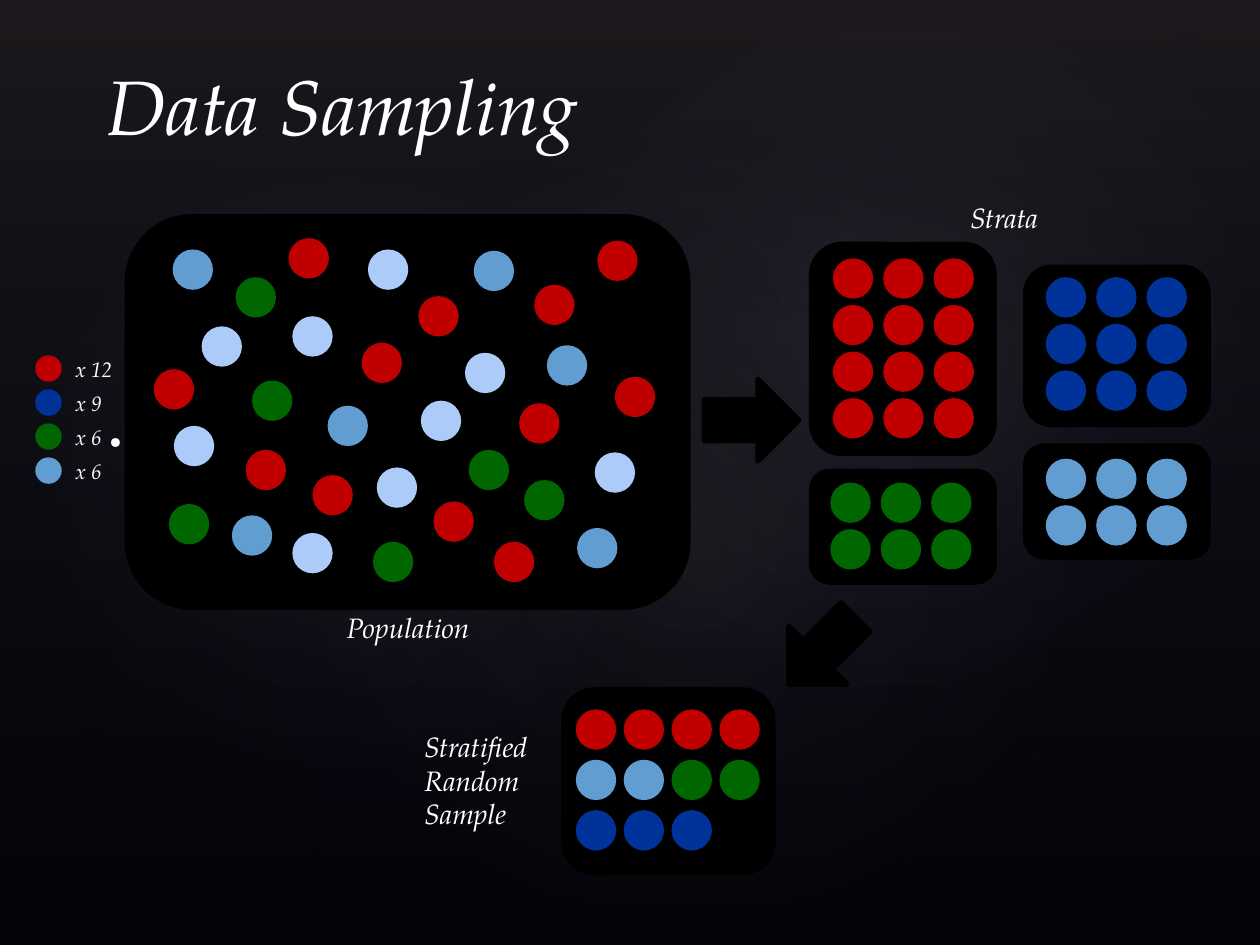
from dataclasses import dataclass

from lxml.etree import SubElement
from pptx import Presentation
from pptx.dml.color import RGBColor
from pptx.enum.shapes import MSO_SHAPE
from pptx.enum.text import MSO_ANCHOR, MSO_AUTO_SIZE, PP_ALIGN
from pptx.oxml.ns import qn
from pptx.slide import Slide
from pptx.util import Inches, Pt

BLACK = RGBColor(0x00, 0x00, 0x00)
WHITE = RGBColor(0xFF, 0xFF, 0xFF)
RED = RGBColor(0xC0, 0x00, 0x00)
NAVY = RGBColor(0x00, 0x33, 0x99)
GREEN = RGBColor(0x00, 0x66, 0x00)
SKY = RGBColor(0x62, 0x9D, 0xD1)
PALE = RGBColor(0xAC, 0xCB, 0xF9)
HAZE = RGBColor(0x50, 0x46, 0x52)
GLOW = RGBColor(0xC4, 0xBC, 0xC6)
DUSK = RGBColor(0x24, 0x28, 0x52)

DOT = 0.32

POPULATION = {
    SKY: [(1.37, 1.98), (1.84, 4.09), (3.76, 1.99), (2.6, 3.22), (4.34, 2.74), (4.58, 4.19)],
    PALE: [(1.6, 2.59), (2.32, 2.51), (1.38, 3.38), (2.99, 3.71), (3.34, 3.18),
           (4.72, 3.59), (2.92, 1.98), (2.32, 4.23), (3.69, 2.8)],
    RED: [(4.88, 2.99), (2.87, 2.72), (3.44, 3.98), (2.29, 1.89), (4.12, 3.2), (2.48, 3.77),
          (1.22, 2.93), (3.32, 2.35), (4.24, 2.26), (4.74, 1.91), (1.95, 3.57), (3.92, 4.3)],
    GREEN: [(4.16, 3.81), (3.72, 3.57), (2.96, 4.3), (1.34, 4), (1.87, 2.2), (2, 3.02)],
}

# Panel left, top, height; first dot left, top; rows; colour
STRATA = [
    (6.44, 1.94, 1.66, 6.61, 2.05, 4, RED),
    (8.14, 2.12, 1.25, 8.3, 2.2, 3, NAVY),
    (6.44, 3.74, 0.88, 6.59, 3.83, 2, GREEN),
    (8.14, 3.54, 0.88, 8.3, 3.64, 2, SKY),
]

SAMPLE = [[RED] * 4, [SKY, SKY, GREEN, GREEN], [NAVY] * 3]
LEGEND = [(RED, "x 12", 0.52), (NAVY, "x 9", 0.43), (GREEN, "x 6", 0.43), (SKY, "x 6", 0.43)]


@dataclass
class Painter:
    page: Slide
    font_name: str = "TeX Gyre Pagella"
    ink: RGBColor = WHITE

    def shape(self, kind, left, top, width, height, rotation=0):
        shape = self.page.shapes.add_shape(
            kind, Inches(left), Inches(top), Inches(width), Inches(height))
        shape.rotation = rotation
        shape.shadow.inherit = False
        shape.line.fill.background()
        return shape

    def gradient(self, shape, stops, radial=False):
        """Fill with stops of (position, colour, opacity), all but the colour in percent."""
        shape.fill.gradient()
        fill = shape._element.spPr.find(qn("a:gradFill"))
        for child in list(fill):
            fill.remove(child)
        stop_list = SubElement(fill, qn("a:gsLst"))
        for position, color, opacity in stops:
            stop = SubElement(stop_list, qn("a:gs"), pos=str(position * 1000))
            value = SubElement(stop, qn("a:srgbClr"), val=str(color))
            SubElement(value, qn("a:alpha"), val=str(opacity * 1000))
        if radial:
            route = SubElement(fill, qn("a:path"), path="circle")
            SubElement(route, qn("a:fillToRect"), l="50000", t="50000", r="50000", b="50000")
        else:
            SubElement(fill, qn("a:lin"), ang="5400000", scaled="0")

    def glow(self, left, top, width, height, rotation, opacity):
        oval = self.shape(MSO_SHAPE.OVAL, left, top, width, height, rotation)
        self.gradient(oval, [(0, GLOW, opacity), (58, DUSK, 0)], radial=True)

    def block(self, kind, left, top, width, height, rotation=0):
        """Black shape with a thick black outline."""
        block = self.shape(kind, left, top, width, height, rotation)
        block.fill.solid()
        block.fill.fore_color.rgb = BLACK
        block.line.color.rgb = BLACK
        block.line.width = Pt(3)

    def panel(self, left, top, width, height, rotation=0):
        self.block(MSO_SHAPE.ROUNDED_RECTANGLE, left, top, width, height, rotation)

    def arrow(self, left, top, rotation=0):
        self.block(MSO_SHAPE.RIGHT_ARROW, left, top, 0.75, 0.65, rotation)

    def dot(self, left, top, color, size=DOT):
        dot = self.shape(MSO_SHAPE.OVAL, left, top, size, size)
        dot.fill.solid()
        dot.fill.fore_color.rgb = color

    def dot_grid(self, left, top, step_x, step_y, rows):
        for row, colors in enumerate(rows):
            for column, color in enumerate(colors):
                self.dot(left + column * step_x, top + row * step_y, color)

    def text(self, words, left, top, width, height, size, align=PP_ALIGN.LEFT,
             anchor=MSO_ANCHOR.TOP, wrap=False, grow=True):
        box = self.page.shapes.add_textbox(
            Inches(left), Inches(top), Inches(width), Inches(height))
        frame = box.text_frame
        frame.word_wrap = wrap
        frame.auto_size = MSO_AUTO_SIZE.SHAPE_TO_FIT_TEXT if grow else MSO_AUTO_SIZE.NONE
        frame.vertical_anchor = anchor
        para = frame.paragraphs[0]
        para.text = words
        para.alignment = align
        para.font.name = self.font_name
        para.font.size = Pt(size)
        para.font.italic = True
        para.font.color.rgb = self.ink


def main():
    deck = Presentation()
    deck.slide_width, deck.slide_height = Inches(10), Inches(7.5)
    page = deck.slides.add_slide(deck.slide_layouts[6])
    page.background.fill.solid()
    page.background.fill.fore_color.rgb = BLACK
    painter = Painter(page)

    backdrop = painter.shape(MSO_SHAPE.RECTANGLE, 0, 0, 10, 7.5)
    painter.gradient(backdrop, [(0, HAZE, 36), (100, DUSK, 10)])
    painter.glow(1.5, 1.14, 7.92, 6.24, 328.7, 7)
    painter.glow(-0.3, 1.28, 6.06, 4.9, 294.3, 8)
    painter.glow(3.58, 0.13, 7.09, 5.2, 328.7, 8)

    painter.text("•", 0.77, 3.32, 0.3, 0.34, 12.6, anchor=MSO_ANCHOR.MIDDLE, grow=False)
    painter.text("Data Sampling", 0.75, 0.5, 8.58, 0.75, 44.1,
                 anchor=MSO_ANCHOR.BOTTOM, wrap=True, grow=False)

    painter.panel(1.01, 1.72, 4.45, 3.1)
    for color, places in POPULATION.items():
        for left, top in places:
            painter.dot(left, top, color)

    for left, top, height, dot_left, dot_top, rows, color in STRATA:
        painter.panel(left, top, 1.45, height)
        painter.dot_grid(dot_left, dot_top, 0.4, 0.37, [[color] * 3] * rows)

    painter.panel(4.58, 5.37, 1.45, 1.66, rotation=90)
    painter.dot_grid(4.57, 5.63, 0.38, 0.4, SAMPLE)

    painter.text("Population", 2.61, 4.8, 1.26, 0.37, 16, PP_ALIGN.CENTER)
    painter.text("Strata", 7.57, 1.54, 0.8, 0.37, 16, PP_ALIGN.CENTER)
    painter.text("Stratified Random Sample", 3.27, 5.74, 1.27, 0.91, 16, wrap=True)

    painter.arrow(5.59, 3.01)
    painter.arrow(6.15, 4.84, rotation=135)

    for index, (color, count, width) in enumerate(LEGEND):
        offset = index * 0.27
        painter.dot(0.28, 2.82 + offset, color, size=0.21)
        painter.text(count, 0.5, 2.78 + offset, width, 0.3, 12)

    deck.save("out.pptx")


if __name__ == "__main__":
    main()
